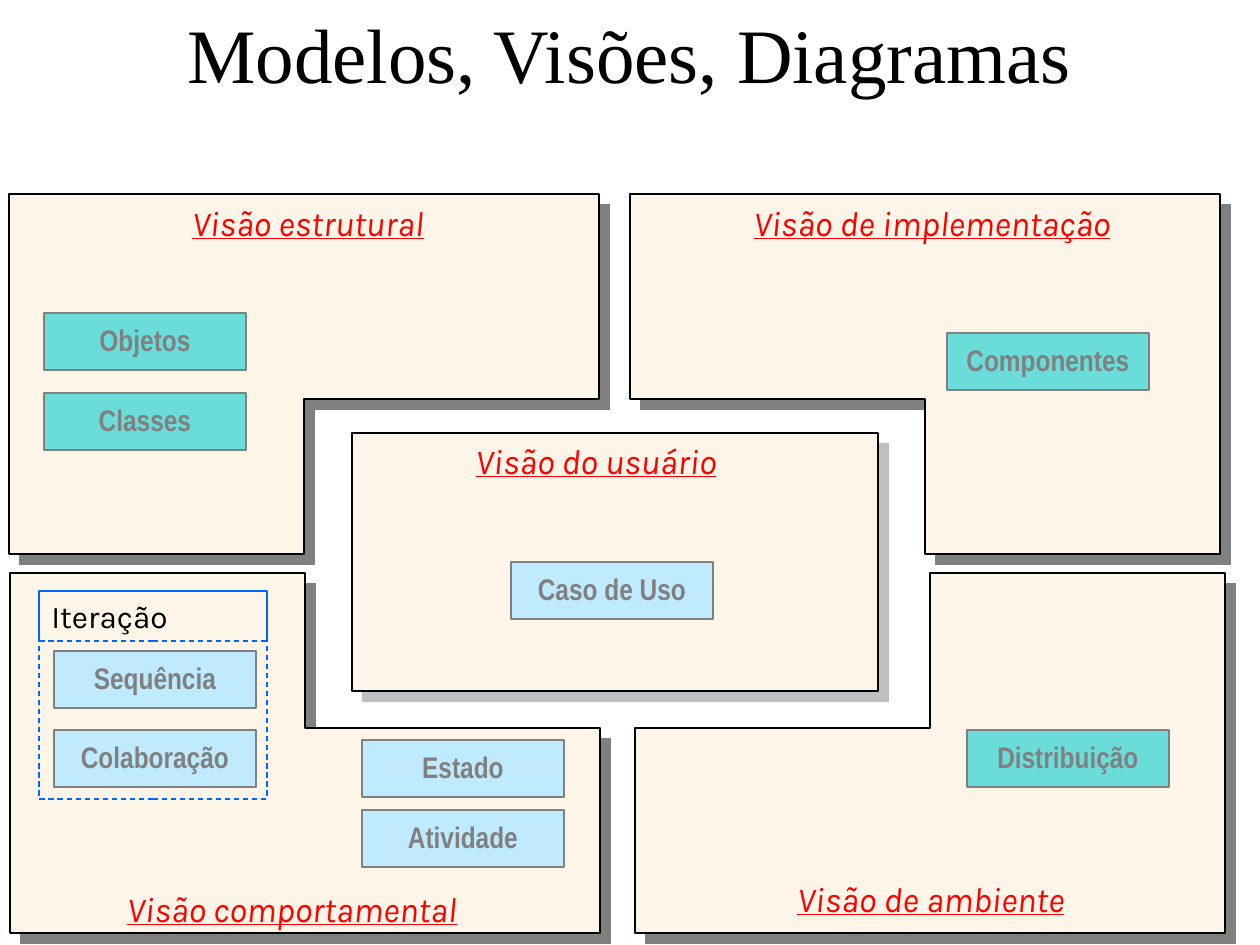
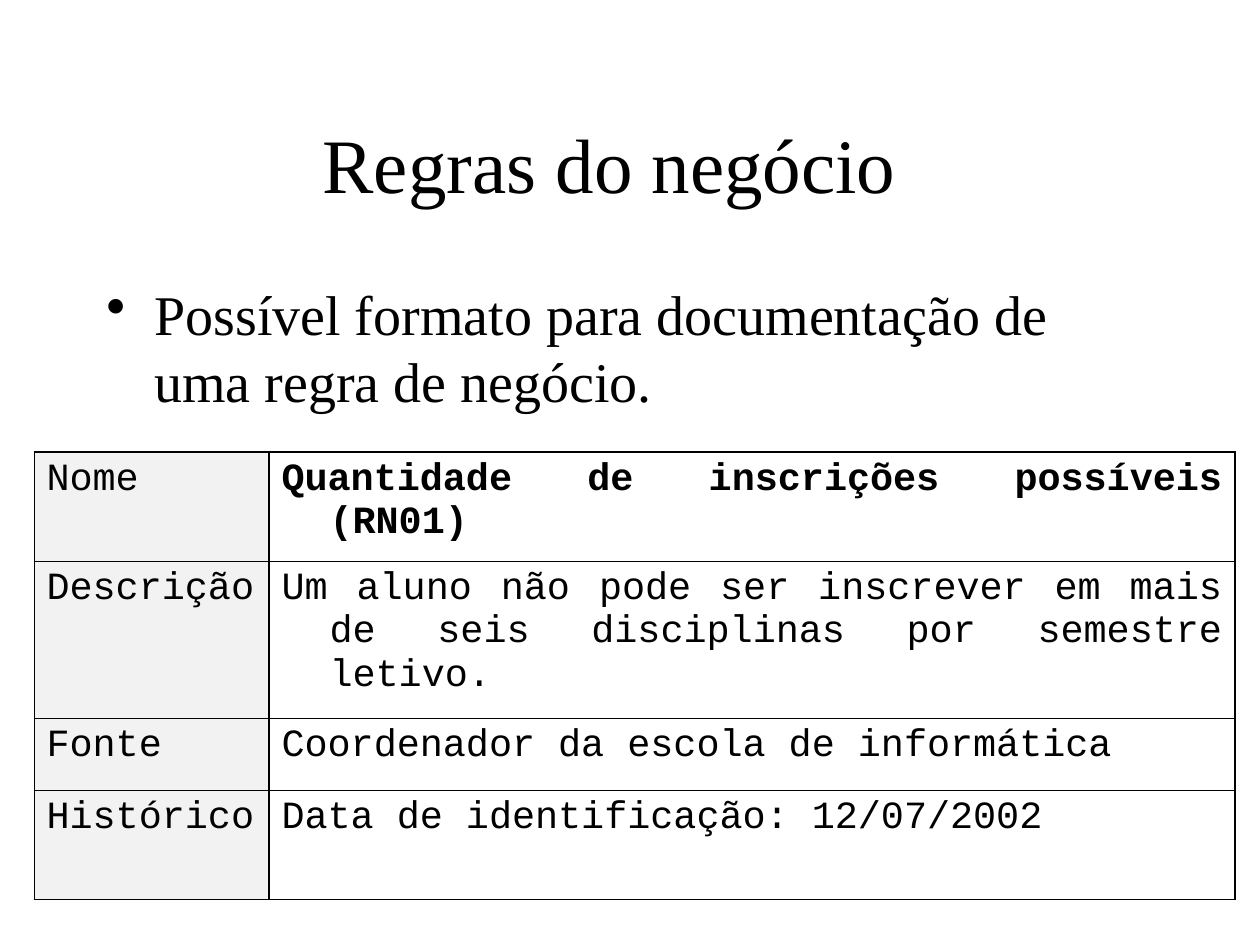
"""Builds two slides: the UML views map and the business rule table."""
from dataclasses import dataclass
from typing import Any

from lxml.etree import SubElement
from pptx import Presentation
from pptx.dml.color import RGBColor
from pptx.enum.dml import MSO_LINE
from pptx.enum.shapes import MSO_SHAPE
from pptx.enum.text import MSO_ANCHOR, PP_ALIGN
from pptx.oxml import parse_xml
from pptx.oxml.ns import nsdecls, qn
from pptx.util import Emu, Pt

SCALE = 914400 / 126
BLACK, GREY, RED, BLUE = "000000", "808080", "FF0000", "0066FF"
CREAM, SKY, TEAL, HEAD = "FDF5E7", "BFEAFF", "6ADDDA", "F2F2F2"

TITLE = {"name": "Times New Roman", "size": Pt(44)}
BODY = {"name": "Times New Roman", "size": Pt(32)}
DIAGRAM = {"name": "Arial Narrow", "size": Pt(17), "bold": True}
VIEW = {"name": "Karla", "size": Pt(20), "italic": True, "underline": True}
GROUP = {"name": "Karla", "size": Pt(18)}
CELL = {"name": "Courier New", "size": Pt(22)}
CENTRED = {"alignment": PP_ALIGN.CENTER}
TIGHT = {"alignment": PP_ALIGN.CENTER, "line_spacing": 0.9}
JUSTIFIED = {"alignment": PP_ALIGN.JUSTIFY}

PANEL_W, PANEL_H, ARM_W, BAR_H = 590, 360, 295, 205
DIAGRAM_W, DIAGRAM_H = 202, 57
HANG = 48


@dataclass
class Panel:
    left: int
    top: int
    flip_x: bool
    flip_y: bool


@dataclass
class Diagram:
    text: str
    left: int
    top: int
    fill: str


@dataclass
class ViewName:
    text: str
    left: int
    top: int
    width: int


PANELS = [
    Panel(9, 194, False, False),
    Panel(635, 573, True, True),
    Panel(630, 194, True, False),
    Panel(10, 573, False, True),
]
DIAGRAMS = [
    Diagram("Caso de Uso", 511, 562, SKY),
    Diagram("Componentes", 947, 333, TEAL),
    Diagram("Distribuição", 967, 730, TEAL),
    Diagram("Objetos", 44, 313, TEAL),
    Diagram("Classes", 44, 393, TEAL),
    Diagram("Estado", 362, 740, SKY),
    Diagram("Atividade", 362, 810, SKY),
    Diagram("Sequência", 54, 651, SKY),
    Diagram("Colaboração", 54, 730, SKY),
]
VIEW_NAMES = [
    ViewName("Visão do usuário", 432, 433, 328),
    ViewName("Visão comportamental", 54, 881, 476),
    ViewName("Visão de ambiente", 767, 871, 328),
    ViewName("Visão estrutural", 144, 195, 328),
    ViewName("Visão de implementação", 709, 195, 446),
]
COLUMNS = [235, 966]
ROWS = [
    (109, "Nome", "Quantidade de inscrições possíveis (RN01)"),
    (157, "Descrição", "Um aluno não pode ser inscrever em mais de seis "
                       "disciplinas por semestre letivo."),
    (72, "Fonte", "Coordenador da escola de informática"),
    (109, "Histórico", "Data de identificação: 12/07/2002"),
]


def px(n: int) -> Emu:
    return Emu(round(n * SCALE))


def rgb(value: str) -> RGBColor:
    return RGBColor.from_string(value)


def apply(target: Any, values: dict) -> None:
    for name, value in values.items():
        setattr(target, name, value)


def write(tf: Any, text: str, font: dict, color: str = BLACK, para: dict = {}) -> Any:
    p = tf.paragraphs[0]
    apply(p, para)
    r = p.add_run()
    r.text = text
    apply(r.font, font)
    r.font.color.rgb = rgb(color)
    return p


def hang(p: Any) -> None:
    pPr = p._p.get_or_add_pPr()
    pPr.set("marL", str(px(HANG)))
    pPr.set("indent", str(-px(HANG)))


def textbox(s: Any, box: tuple, text: str, font: dict, color: str = BLACK,
            para: dict = {}, anchor: Any = MSO_ANCHOR.TOP) -> Any:
    tf = s.shapes.add_textbox(*map(px, box)).text_frame
    tf.word_wrap = True
    tf.vertical_anchor = anchor
    return write(tf, text, font, color, para)


def title(s: Any, text: str, left: int, top: int, height: int) -> None:
    textbox(s, (left, top, 1071, height), text, TITLE, BLACK, CENTRED, MSO_ANCHOR.MIDDLE)


def style(sp: Any, fill: str | None, line: str) -> None:
    sp.shadow.inherit = False
    if fill:
        sp.fill.solid()
        sp.fill.fore_color.rgb = rgb(fill)
    else:
        sp.fill.background()
    sp.line.color.rgb = rgb(line)
    sp.line.width = Pt(0.75)


def rect(s: Any, box: tuple, fill: str | None, line: str) -> Any:
    sp = s.shapes.add_shape(MSO_SHAPE.RECTANGLE, *map(px, box))
    style(sp, fill, line)
    return sp


def cast_shadow(sp: Any, opacity: int) -> None:
    effects = sp._element.spPr.find(qn("a:effectLst"))
    shadow = SubElement(effects, qn("a:outerShdw"), blurRad="0", dist=str(Pt(8.5)),
                        dir="2700000", algn="ctr", rotWithShape="0")
    color = SubElement(shadow, qn("a:srgbClr"), val=GREY)
    SubElement(color, qn("a:alpha"), val=str(opacity * 1000))


def draw_panel(s: Any, panel: Panel) -> None:
    outline = [(0, PANEL_H), (0, 0), (PANEL_W, 0), (PANEL_W, BAR_H),
               (ARM_W, BAR_H), (ARM_W, PANEL_H)]
    points = [(panel.left + (PANEL_W - x if panel.flip_x else x),
               panel.top + (PANEL_H - y if panel.flip_y else y)) for x, y in outline]
    builder = s.shapes.build_freeform(*points[0], scale=SCALE)
    builder.add_line_segments(points[1:], close=True)
    sp = builder.convert_to_shape()
    style(sp, CREAM, BLACK)
    cast_shadow(sp, 100)


def draw_diagram(s: Any, d: Diagram) -> None:
    sp = rect(s, (d.left, d.top, DIAGRAM_W, DIAGRAM_H), d.fill, GREY)
    tf = sp.text_frame
    tf.word_wrap = False
    tf.vertical_anchor = MSO_ANCHOR.MIDDLE
    write(tf, d.text, DIAGRAM, GREY, TIGHT)


def draw_iteration(s: Any) -> None:
    for height, text in ((208, ""), (50, "Iteração")):
        sp = rect(s, (39, 591, 228, height), None, BLUE)
        sp.line.dash_style = MSO_LINE.DASH
        if text:
            tf = sp.text_frame
            tf.vertical_anchor = MSO_ANCHOR.TOP
            write(tf, text, GROUP, BLACK, {"alignment": PP_ALIGN.LEFT})


def border(cell: Any, widths: dict) -> None:
    tcPr = cell._tc.get_or_add_tcPr()
    for i, side in enumerate("LRTB"):
        tcPr.insert(i, parse_xml(
            f'<a:ln{side} {nsdecls("a")} w="{Pt(widths[side])}"><a:solidFill>'
            f'<a:srgbClr val="{BLACK}"/></a:solidFill></a:ln{side}>'))


def draw_rule_table(s: Any) -> None:
    heights = [row[0] for row in ROWS]
    box = (34, 452, sum(COLUMNS), sum(heights))
    tbl = s.shapes.add_table(len(ROWS), len(COLUMNS), *map(px, box)).table
    tbl.first_row = tbl.horz_banding = False
    for column, width in zip(tbl.columns, COLUMNS):
        column.width = px(width)
    for i, (height, *texts) in enumerate(ROWS):
        tbl.rows[i].height = px(height)
        for j, text in enumerate(texts):
            cell = tbl.cell(i, j)
            if j == 0:
                cell.fill.solid()
                cell.fill.fore_color.rgb = rgb(HEAD)
            else:
                cell.fill.background()
            border(cell, {"L": 0.96 if j else 0.45, "R": 1.47 if j else 0.96,
                          "T": 0.45 if i else 1.47, "B": 0.45})
            font = CELL | {"bold": i == 0 and j == 1}
            hang(write(cell.text_frame, text, font, BLACK, JUSTIFIED))


def views_slide(prs: Any) -> None:
    s = prs.slides.add_slide(prs.slide_layouts[6])
    for panel in PANELS[:3]:
        draw_panel(s, panel)
    cast_shadow(rect(s, (352, 433, 526, 258), CREAM, BLACK), 50)
    draw_panel(s, PANELS[3])
    title(s, "Modelos, Visões, Diagramas", 94, 0, 106)
    for d in DIAGRAMS:
        draw_diagram(s, d)
    draw_iteration(s)
    for v in VIEW_NAMES:
        textbox(s, (v.left, v.top, v.width, 55), v.text, VIEW, RED, CENTRED)


def rules_slide(prs: Any) -> None:
    s = prs.slides.add_slide(prs.slide_layouts[6])
    title(s, "Regras do negócio", 74, 84, 158)
    p = textbox(s, (94, 273, 1071, 275),
                "Possível formato para documentação de uma regra de negócio.", BODY)
    hang(p)
    SubElement(p._p.get_or_add_pPr(), qn("a:buChar"), char="•")
    draw_rule_table(s)


def main() -> None:
    prs = Presentation()
    prs.slide_width, prs.slide_height = px(1260), px(945)
    views_slide(prs)
    rules_slide(prs)
    prs.save("out.pptx")


if __name__ == "__main__":
    main()
